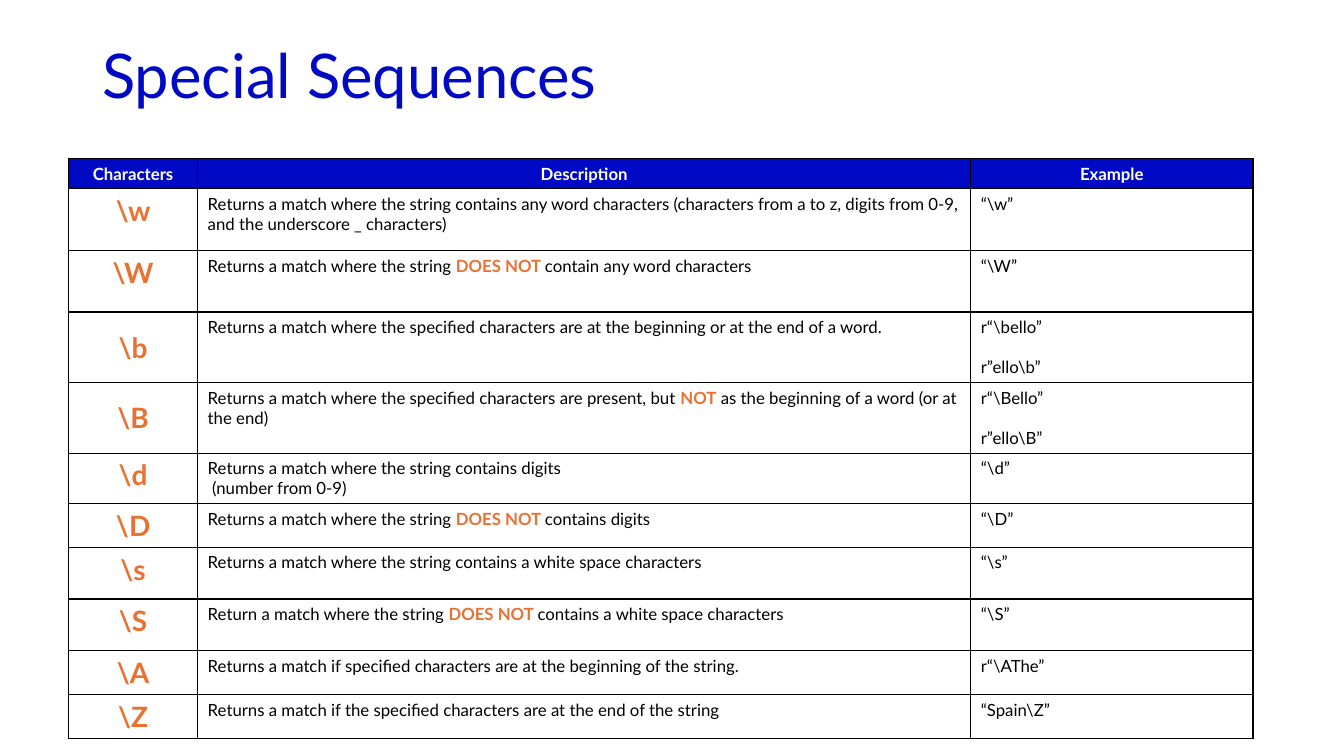
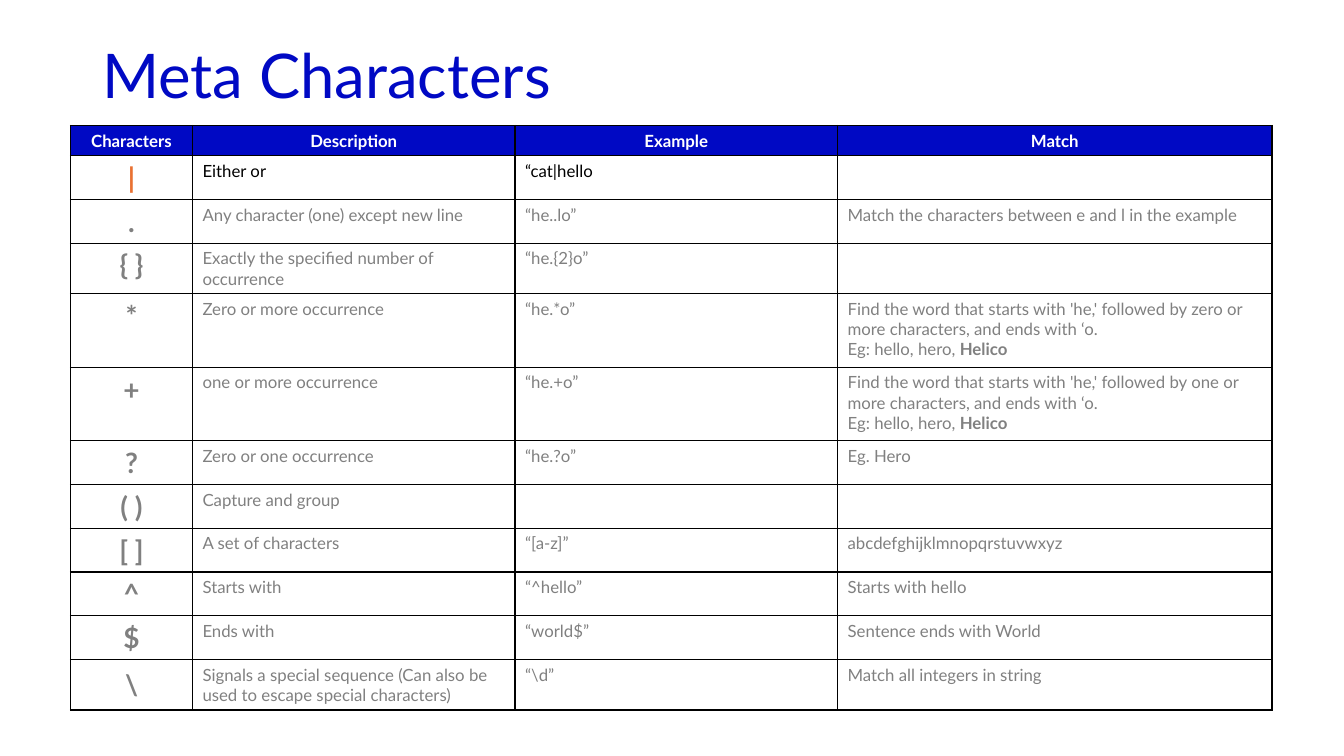
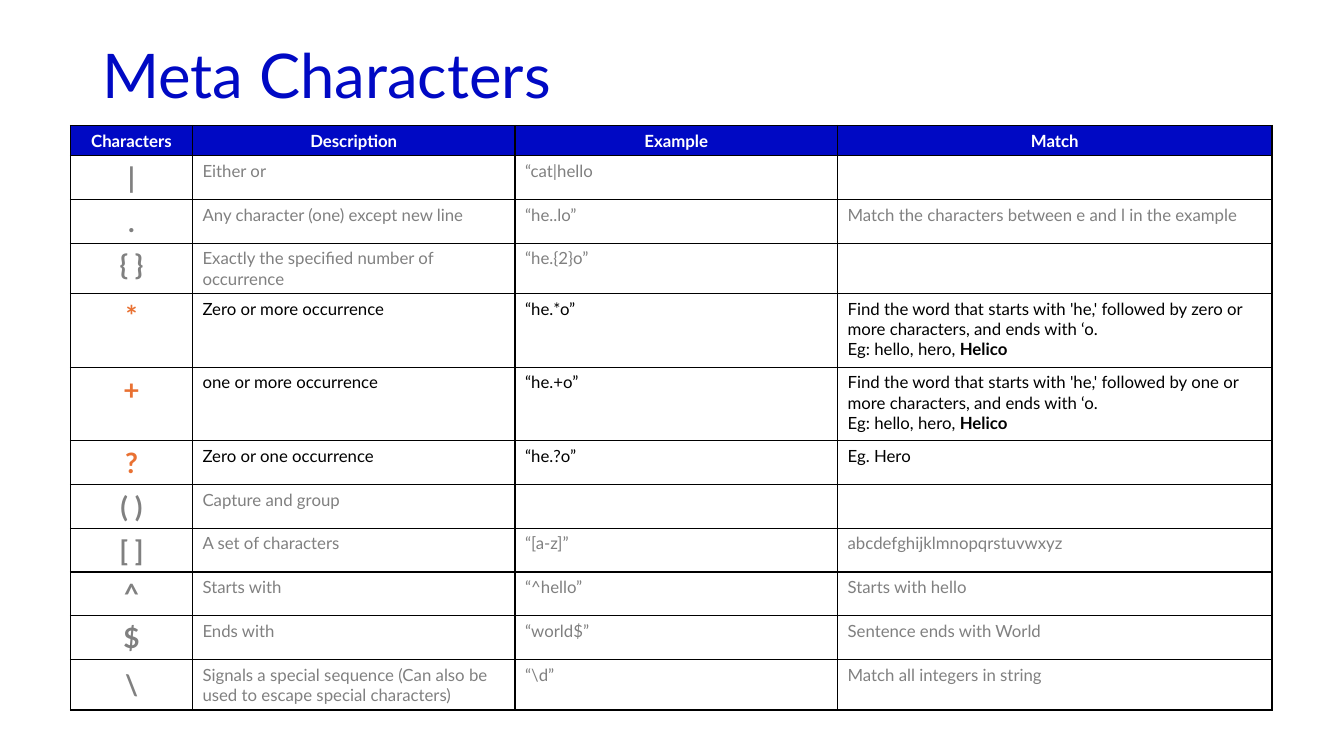
from dataclasses import dataclass

from lxml.etree import SubElement
from pptx import Presentation
from pptx.dml.color import RGBColor
from pptx.enum.text import MSO_ANCHOR, PP_ALIGN
from pptx.oxml.ns import qn
from pptx.slide import Slide
from pptx.table import _Cell
from pptx.text.text import _Paragraph
from pptx.util import Pt

# Shared style
FONT = "Lato"
BLUE, ORANGE, GREY = "0009C4", "E97132", "808080"
BLACK, WHITE = "000000", "FFFFFF"
TITLE_SIZE, SYMBOL_SIZE, BODY_SIZE = 44, 20, 12
SYMBOL_COL, EXAMPLE_COL = 0, 2
EXAMPLE_GAP = 14.4  # one line between stacked examples


@dataclass(frozen=True)
class Row:
    height: float
    cells: tuple[str, ...]  # **text** is emphasised, \n starts a paragraph
    middle: bool = False  # symbol centred vertically


@dataclass(frozen=True)
class Sheet:
    title: str
    left: float
    top: float
    widths: tuple[float, ...]
    header: tuple[str, ...]
    rows: tuple[Row, ...]
    active: frozenset[str]  # symbols of the rows that are not greyed out
    emphasis: str = ""  # colour of emphasised text, if it has its own


# Row heights
HEADER, SINGLE, DOUBLE, TRIPLE = 21.6, 31.2, 36, 50.4
TALL, ROOMY, MATCH = 44, 37, 52.6

SEQUENCES = (
    Row(TALL, (r"\w", "Returns a match where the string contains any word characters "
               "(characters from a to z, digits from 0-9, and the underscore _ characters)",
               r"“\w”")),
    Row(TALL, (r"\W", "Returns a match where the string **DOES NOT **contain any word characters",
               r"“\W”")),
    Row(TRIPLE, (r"\b", "Returns a match where the specified characters are at the beginning "
                 "or at the end of a word.", "r“\\bello”\nr”ello\\b”"), True),
    Row(TRIPLE, (r"\B", "Returns a match where the specified characters are present, but **NOT** "
                 "as the beginning of a word (or at the end)", "r“\\Bello”\nr”ello\\B”"), True),
    Row(DOUBLE, (r"\d", "Returns a match where the string contains digits\n (number from 0-9)",
                 r"“\d”")),
    Row(SINGLE, (r"\D", "Returns a match where the string **DOES NOT **contains digits", r"“\D”")),
    Row(ROOMY, (r"\s", "Returns a match where the string contains a white space characters",
                r"“\s”")),
    Row(ROOMY, (r"\S", "Return a match where the string **DOES NOT **contains a white space "
                "characters", r"“\S”")),
    Row(SINGLE, (r"\A", "Returns a match if specified characters are at the beginning of the "
                 "string.", r"r“\AThe”"), True),
    Row(SINGLE, (r"\Z", "Returns a match if the specified characters are at the end of the string",
                 r"“Spain\Z”")),
)


def starts_with_he(count: str) -> str:
    return (f"Find the word that starts with 'he,' followed by {count} or more characters, "
            "and ends with ‘o.\nEg: hello, hero, **Helico**")


META = (
    Row(SINGLE, ("|", "Either or", "“cat|hello", "")),
    Row(SINGLE, (".", "Any character (one) except new line", "“he..lo”",
                 "Match the characters between e and l in the example"), True),
    Row(DOUBLE, ("{ }", "Exactly the specified number of occurrence", "“he.{2}o”", "")),
    Row(MATCH, ("*", "Zero or more occurrence", "“he.*o”", starts_with_he("zero"))),
    Row(MATCH, ("+", "one or more occurrence", "“he.+o”", starts_with_he("one"))),
    Row(SINGLE, ("?", "Zero or one occurrence", "“he.?o”", "Eg. Hero")),
    Row(SINGLE, ("( )", "Capture and group", "", "")),
    Row(SINGLE, ("[ ]", "A set of characters", "“[a-z]”", "abcdefghijklmnopqrstuvwxyz"), True),
    Row(SINGLE, ("^", "Starts with", "“^hello”", "Starts with hello")),
    Row(SINGLE, ("$", "Ends with", "“world$”", "Sentence ends with World")),
    Row(DOUBLE, ("\\", "Signals a special sequence (Can also be used to escape special "
                 "characters)", r"“\d”", "Match all integers in string"), True),
)


def meta_sheet(*active: str) -> Sheet:
    return Sheet("Meta Characters", 50.4, 89.6, (87.1, 230.4, 230.4, 310.3),
                 ("Characters", "Description", "Example", "Match"), META, frozenset(active))


SHEETS = (
    Sheet("Special Sequences", 49, 113.2, (92.2, 552.2, 201.6),
          ("Characters", "Description", "Example"), SEQUENCES,
          frozenset(row.cells[0] for row in SEQUENCES), ORANGE),
    meta_sheet("|"),
    meta_sheet("*", "+", "?"),
)


def rgb(color: str) -> RGBColor:
    return RGBColor.from_string(color)


def format_run(r, size: float, color: str, bold: bool = False) -> None:
    r.font.name, r.font.size, r.font.bold = FONT, Pt(size), bold
    r.font.color.rgb = rgb(color)


def format_marked(p: _Paragraph, color: str, emphasis: str) -> None:
    """Turn **marked** text into emphasised runs."""
    parts = p.text.split("**")
    p.text = ""
    for i, part in enumerate(parts):
        if part:
            r = p.add_run()
            r.text = part
            strong = i % 2 == 1
            format_run(r, BODY_SIZE, emphasis if strong else color, strong)


def add_borders(cell: _Cell) -> None:
    tc_pr = cell._tc.get_or_add_tcPr()
    for side in "LRTB":
        ln = SubElement(tc_pr, qn(f"a:ln{side}"), w=str(Pt(1)))
        fill = SubElement(ln, qn("a:solidFill"))
        SubElement(fill, qn("a:srgbClr"), val=BLACK)


def fill_label(cell: _Cell, text: str, size: float, color: str) -> None:
    """Bold centred text: header cells and symbols."""
    cell.text_frame.text = text
    p = cell.text_frame.paragraphs[0]
    p.alignment = PP_ALIGN.CENTER
    format_run(p.runs[0], size, color, True)


def fill_body(cell: _Cell, text: str, color: str, emphasis: str, gap: float) -> None:
    cell.text_frame.text = text
    for i, p in enumerate(cell.text_frame.paragraphs):
        format_marked(p, color, emphasis)
        if i and gap:
            p.space_before = Pt(gap)


def add_title(s: Slide, text: str) -> None:
    tf = s.shapes.add_textbox(Pt(66), Pt(28.8), Pt(828), Pt(104.4)).text_frame
    tf.word_wrap = True
    tf.text = text
    p = tf.paragraphs[0]
    p.line_spacing = 0.9
    format_run(p.runs[0], TITLE_SIZE, BLUE)


def add_grid(s: Slide, sheet: Sheet) -> None:
    heights = [HEADER] + [row.height for row in sheet.rows]
    table = s.shapes.add_table(len(heights), len(sheet.widths), Pt(sheet.left), Pt(sheet.top),
                               Pt(sum(sheet.widths)), Pt(sum(heights))).table
    table.first_row = table.horz_banding = False
    for column, width in zip(table.columns, sheet.widths):
        column.width = Pt(width)
    for line, height in zip(table.rows, heights):
        line.height = Pt(height)
    for cell in table.iter_cells():
        add_borders(cell)
        cell.fill.background()

    # Header row
    for col, text in enumerate(sheet.header):
        cell = table.cell(0, col)
        cell.fill.solid()
        cell.fill.fore_color.rgb = rgb(BLUE)
        fill_label(cell, text, BODY_SIZE, WHITE)

    # Body rows
    for i, row in enumerate(sheet.rows, 1):
        active = row.cells[SYMBOL_COL] in sheet.active
        color = BLACK if active else GREY
        for col, text in enumerate(row.cells):
            cell = table.cell(i, col)
            if col == SYMBOL_COL:
                fill_label(cell, text, SYMBOL_SIZE, ORANGE if active else GREY)
                if row.middle:
                    cell.vertical_anchor = MSO_ANCHOR.MIDDLE
            else:
                gap = EXAMPLE_GAP if col == EXAMPLE_COL else 0
                fill_body(cell, text, color, sheet.emphasis or color, gap)


def main() -> None:
    prs = Presentation()
    prs.slide_width, prs.slide_height = Pt(960), Pt(540)
    for sheet in SHEETS:
        s = prs.slides.add_slide(prs.slide_layouts[6])
        add_title(s, sheet.title)
        add_grid(s, sheet)
    prs.save("out.pptx")


if __name__ == "__main__":
    main()
